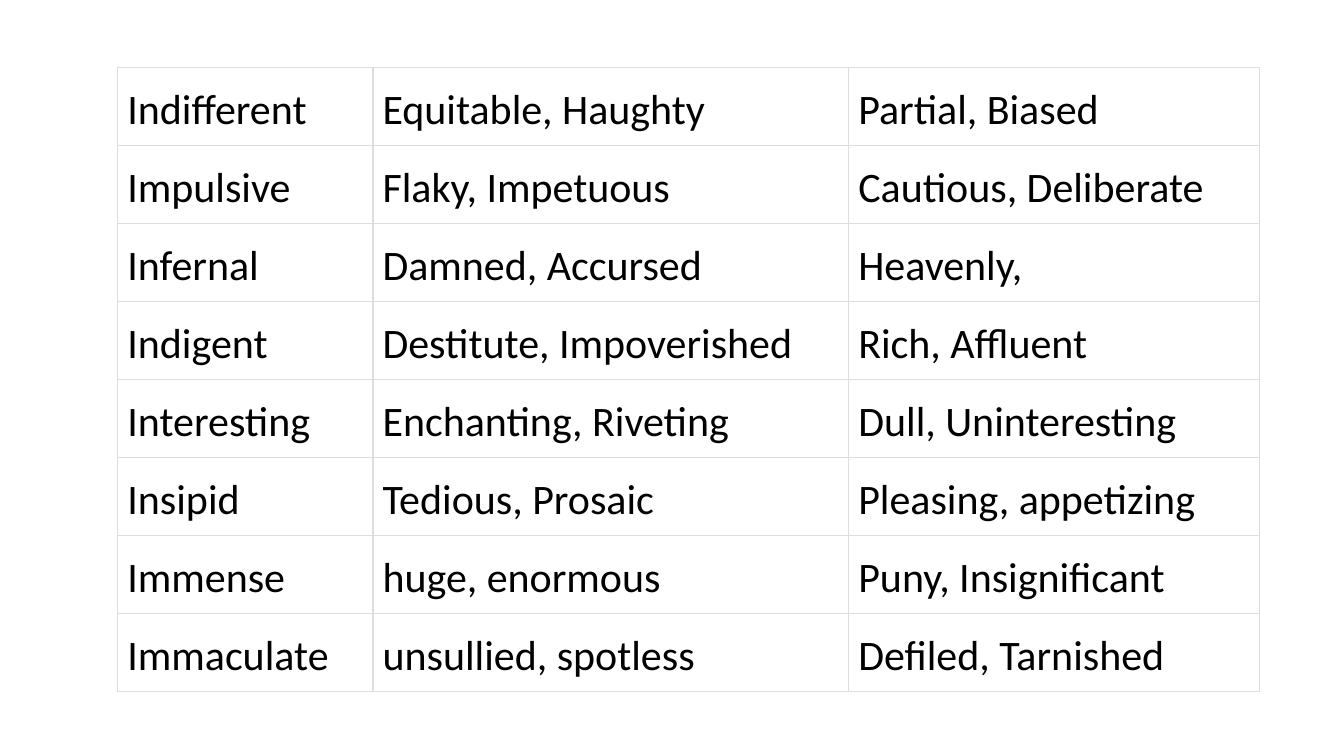
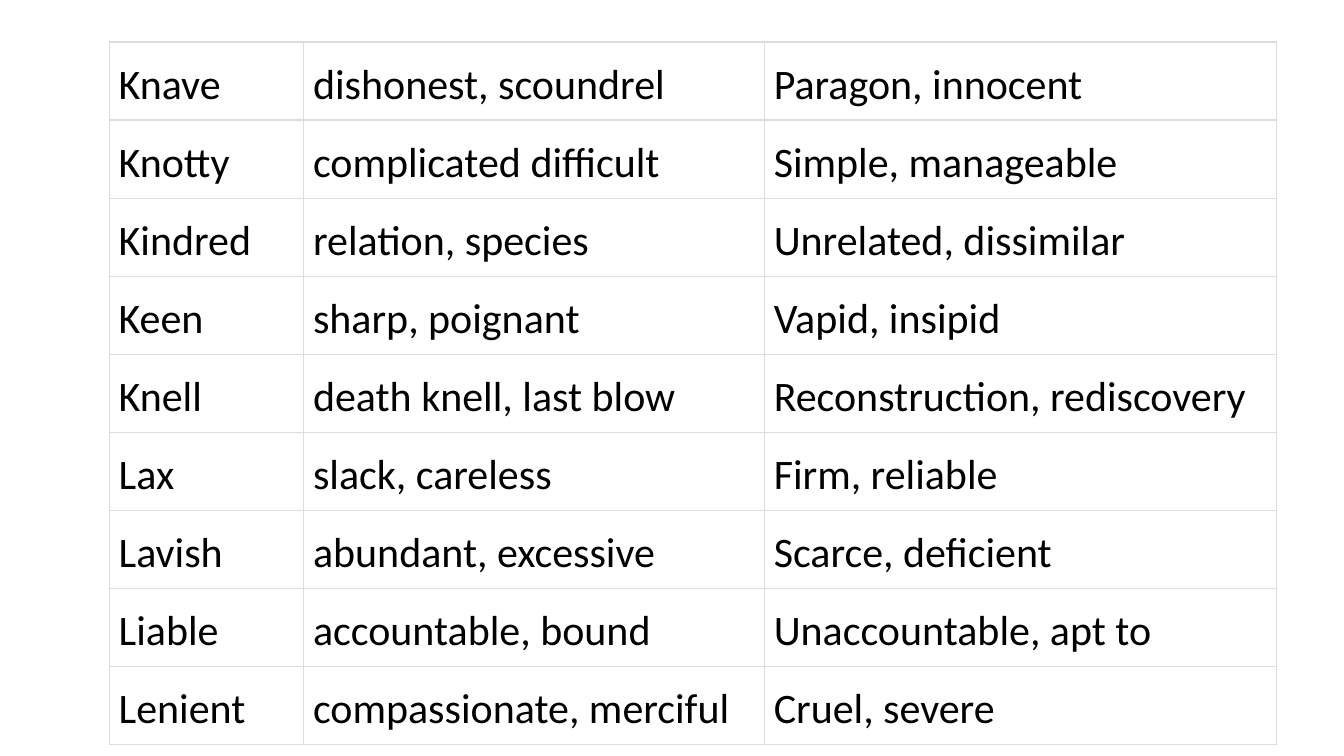
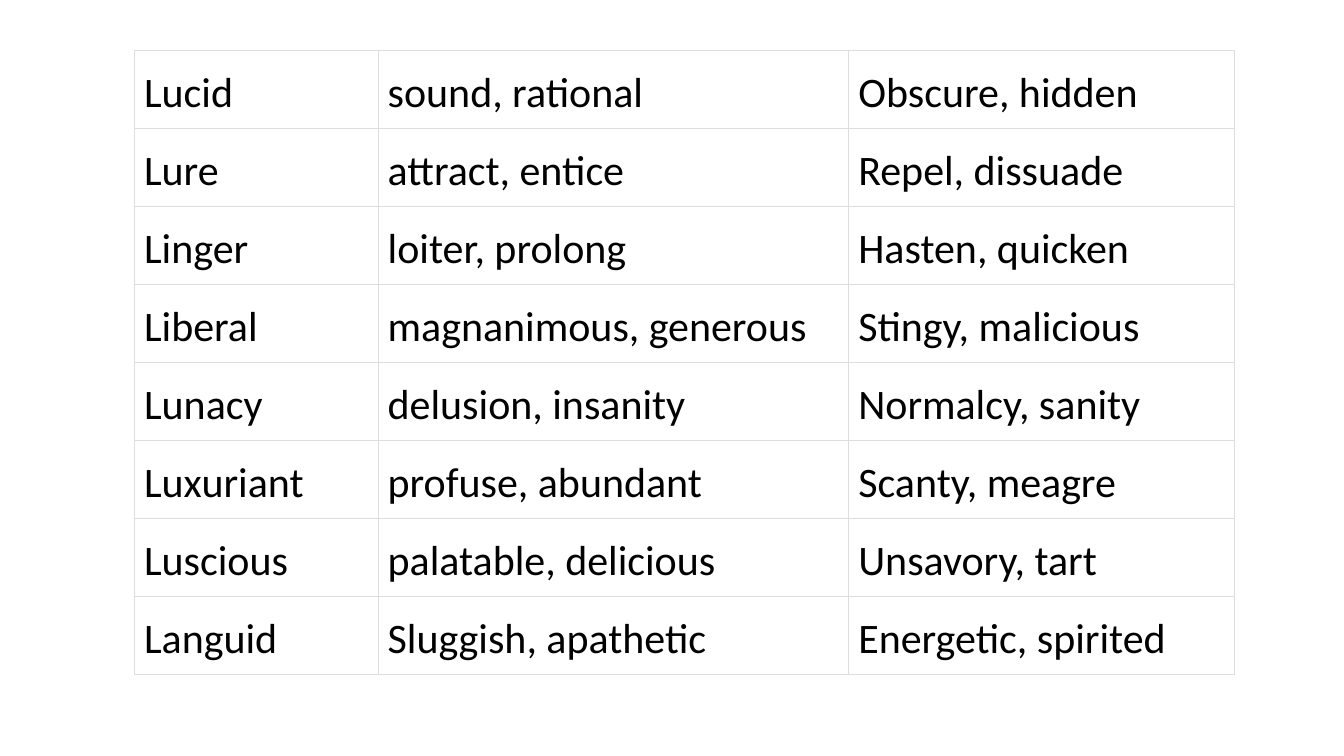
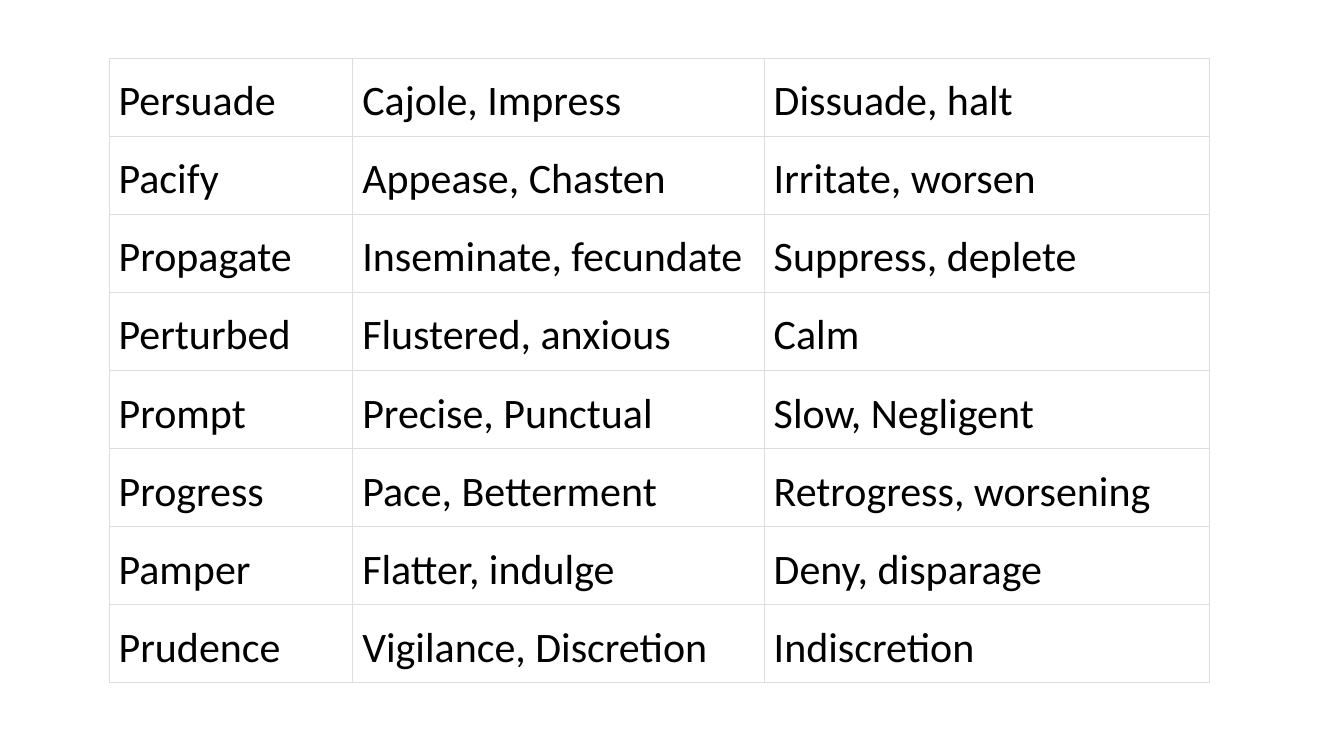
"""Build four slides of words with their synonyms and antonyms."""
from dataclasses import dataclass

from lxml.etree import SubElement
from pptx import Presentation
from pptx.dml.color import RGBColor
from pptx.enum.text import MSO_ANCHOR
from pptx.oxml.ns import qn
from pptx.util import Cm, Pt


@dataclass(frozen=True)
class Theme:
    """Colours, type and cell measures shared by all slides."""
    font: str = "Calibri"
    size: int = 30
    text: str = "000000"
    fill: str = "FFFFFF"
    border: str = "DDDDDD"
    border_width: int = 1
    line_spacing: float = 1.15
    inset: float = 0.24
    row_height: float = 1.93


THEME = Theme()
BLANK_LAYOUT = 6

WORD_TABLES = [
    {
        "left": 2.97, "top": 1.7, "widths": (6.43, 11.99, 10.36),
        "rows": [
            ("Indifferent", "Equitable, Haughty", "Partial, Biased"),
            ("Impulsive", "Flaky, Impetuous", "Cautious, Deliberate"),
            ("Infernal", "Damned, Accursed", "Heavenly,"),
            ("Indigent", "Destitute, Impoverished", "Rich, Affluent"),
            ("Interesting", "Enchanting, Riveting", "Dull, Uninteresting"),
            ("Insipid", "Tedious, Prosaic", "Pleasing, appetizing"),
            ("Immense", "huge, enormous", "Puny, Insignificant"),
            ("Immaculate", "unsullied, spotless", "Defiled, Tarnished"),
        ],
    },
    {
        "left": 2.75, "top": 1.06, "widths": (4.9, 11.61, 12.9),
        "rows": [
            ("Knave", "dishonest, scoundrel", "Paragon, innocent"),
            ("Knotty", "complicated difficult", "Simple, manageable"),
            ("Kindred", "relation, species", "Unrelated, dissimilar"),
            ("Keen", "sharp, poignant", "Vapid, insipid"),
            ("Knell", "death knell, last blow", "Reconstruction, rediscovery"),
            ("Lax", "slack, careless", "Firm, reliable"),
            ("Lavish", "abundant, excessive", "Scarce, deficient"),
            ("Liable", "accountable, bound", "Unaccountable, apt to"),
            ("Lenient", "compassionate, merciful", "Cruel, severe"),
        ],
    },
    {
        "left": 3.39, "top": 1.27, "widths": (6.14, 11.86, 9.73),
        "rows": [
            ("Lucid", "sound, rational", "Obscure, hidden"),
            ("Lure", "attract, entice", "Repel, dissuade"),
            ("Linger", "loiter, prolong", "Hasten, quicken"),
            ("Liberal", "magnanimous, generous", "Stingy, malicious"),
            ("Lunacy", "delusion, insanity", "Normalcy, sanity"),
            ("Luxuriant", "profuse, abundant", "Scanty, meagre"),
            ("Luscious", "palatable, delicious", "Unsavory, tart"),
            ("Languid", "Sluggish, apathetic", "Energetic, spirited"),
        ],
    },
    {
        "left": 2.75, "top": 1.48, "widths": (6.14, 10.37, 11.22),
        "rows": [
            ("Persuade", "Cajole, Impress", "Dissuade, halt"),
            ("Pacify", "Appease, Chasten", "Irritate, worsen"),
            ("Propagate", "Inseminate, fecundate", "Suppress, deplete"),
            ("Perturbed", "Flustered, anxious", "Calm"),
            ("Prompt", "Precise, Punctual", "Slow, Negligent"),
            ("Progress", "Pace, Betterment", "Retrogress, worsening"),
            ("Pamper", "Flatter, indulge", "Deny, disparage"),
            ("Prudence", "Vigilance, Discretion", "Indiscretion"),
        ],
    },
]


def set_attrs(obj, values):
    """Set each named attribute of an object."""
    for name, value in values.items():
        setattr(obj, name, value)


def add_borders(cell):
    """Draw the shared border on all four sides of a cell."""
    tc_pr = cell._tc.get_or_add_tcPr()
    for side in ("a:lnL", "a:lnR", "a:lnT", "a:lnB"):
        ln = SubElement(tc_pr, qn(side), w=str(Pt(THEME.border_width)))
        fill = SubElement(ln, qn("a:solidFill"))
        SubElement(fill, qn("a:srgbClr"), val=THEME.border)


def format_cell(cell, text):
    """Write one cell in the shared style."""
    inset = Cm(THEME.inset)
    set_attrs(cell, {
        "margin_left": inset, "margin_right": inset,
        "margin_top": inset, "margin_bottom": inset,
        "vertical_anchor": MSO_ANCHOR.TOP,
    })
    add_borders(cell)
    cell.fill.solid()
    cell.fill.fore_color.rgb = RGBColor.from_string(THEME.fill)
    p = cell.text_frame.paragraphs[0]
    p.line_spacing = THEME.line_spacing
    r = p.add_run()
    r.text = text
    set_attrs(r.font, {"name": THEME.font, "size": Pt(THEME.size), "bold": False})
    r.font.color.rgb = RGBColor.from_string(THEME.text)


def add_word_table(s, left, top, widths, rows):
    """Add a table of words, synonyms and antonyms."""
    frame = s.shapes.add_table(
        len(rows), len(widths), Cm(left), Cm(top),
        Cm(sum(widths)), Cm(THEME.row_height * len(rows)))
    table = frame.table
    set_attrs(table, {"first_row": False, "horz_banding": False})
    for column, width in zip(table.columns, widths):
        column.width = Cm(width)
    for row, texts in zip(table.rows, rows):
        row.height = Cm(THEME.row_height)
        for cell, text in zip(row.cells, texts):
            format_cell(cell, text)


def main():
    """Build and save the presentation."""
    prs = Presentation()
    set_attrs(prs, {"slide_width": Cm(33.87), "slide_height": Cm(19.05)})
    for word_table in WORD_TABLES:
        s = prs.slides.add_slide(prs.slide_layouts[BLANK_LAYOUT])
        add_word_table(s, **word_table)
    prs.save("out.pptx")


if __name__ == "__main__":
    main()
